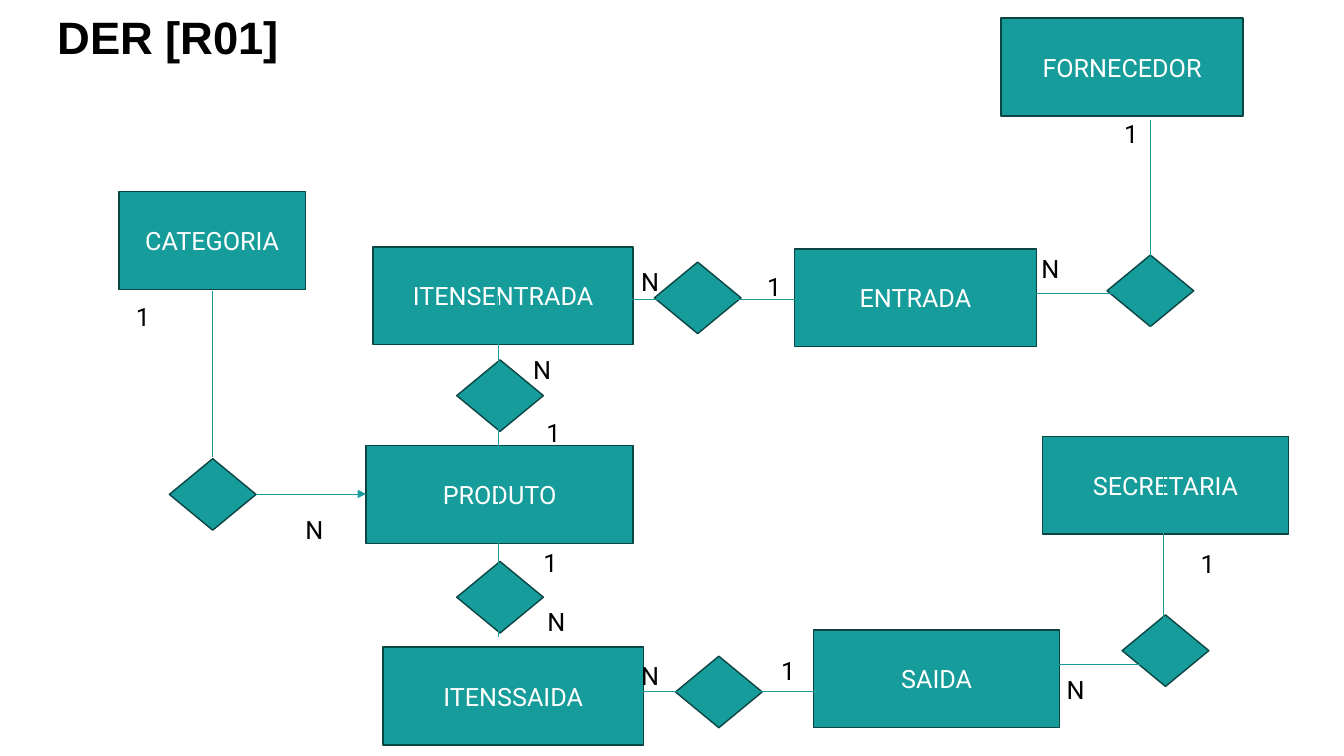
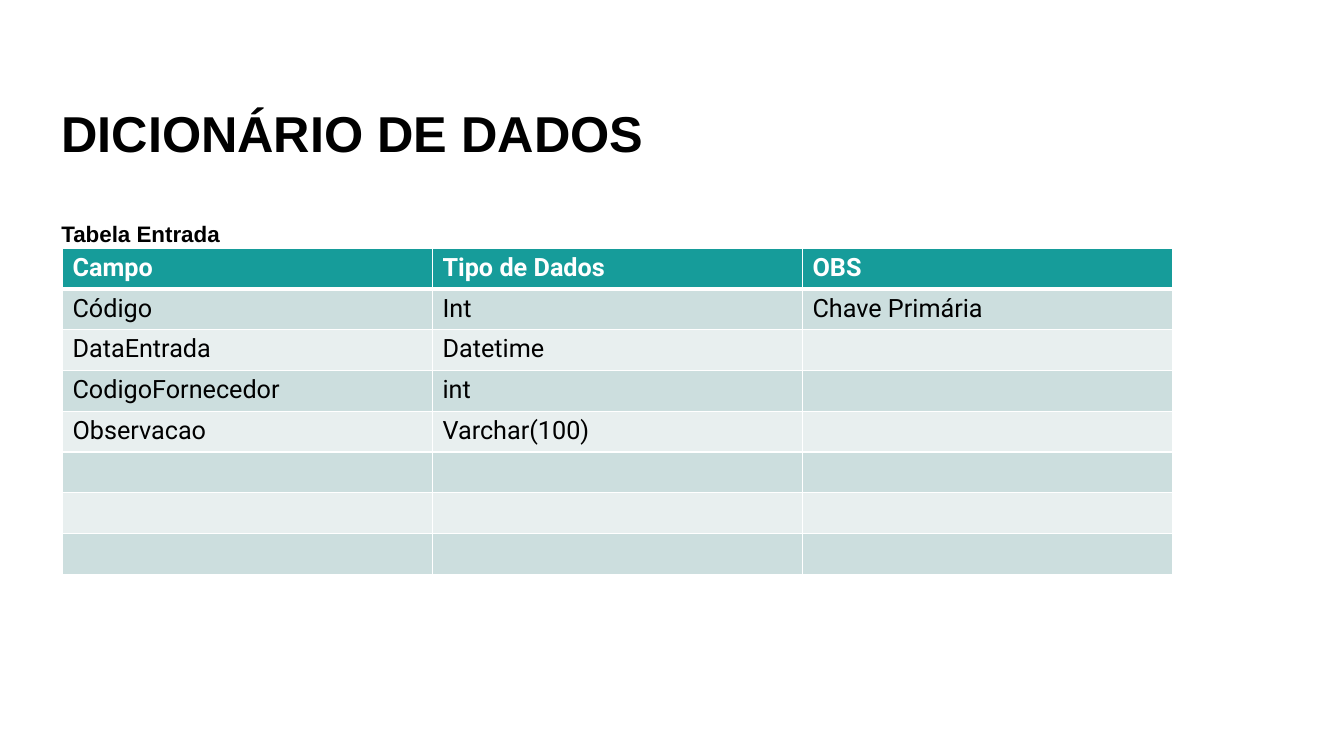
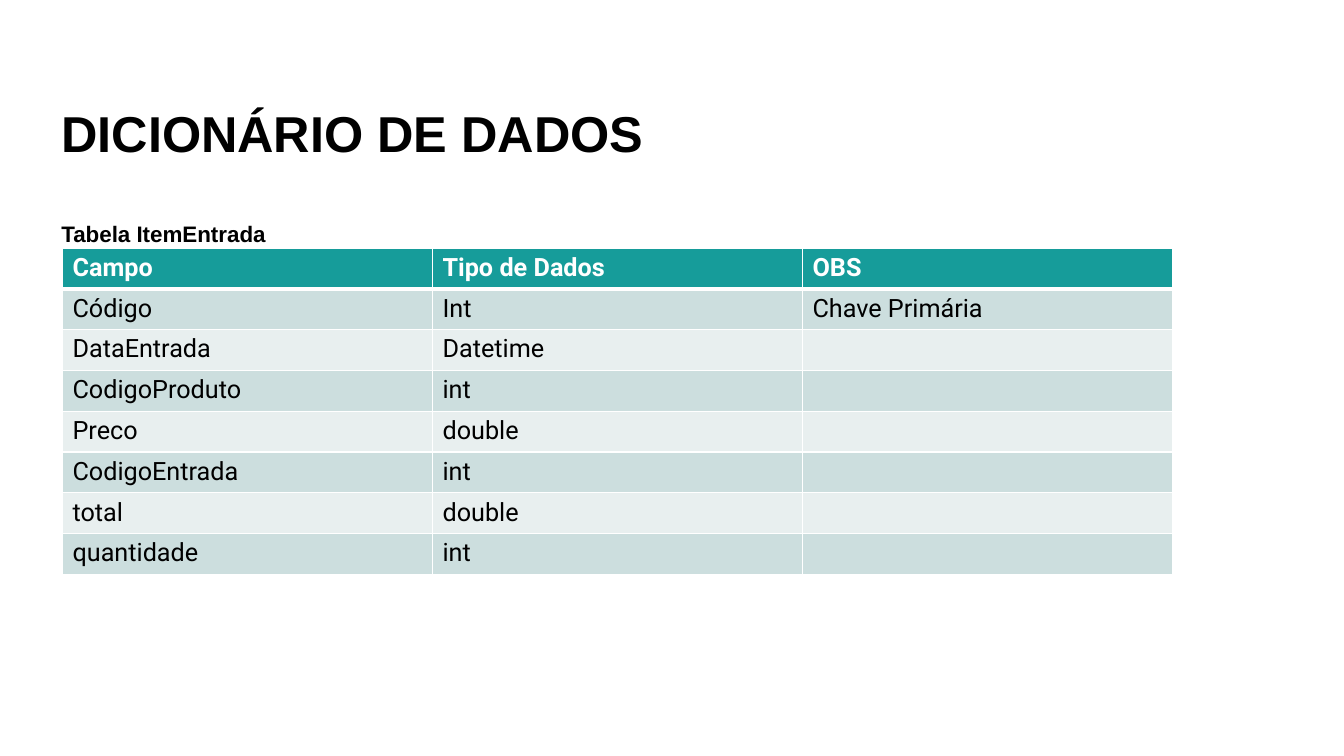
from pptx import Presentation
from pptx import util as u
from pptx.dml.color import RGBColor
from pptx.enum import shapes, text
from pptx.oxml.ns import qn
from lxml import etree

PX = 9144  # 100 px to the inch
WIDE, HIGH = 1333, 750
TEAL, EDGE, WHITE, BLACK = "169C9A", "0A4443", "FFFFFF", "000000"
BANDS = ("CCDEDE", "E8EFEF")
HEAD, BODY = "Arial", "Roboto"

# Entity: name, left, top, width
ENTITIES = [
    ("PRODUTO", 245, 424, 265),
    ("CATEGORIA", 0, 172, 185),
    ("ENTRADA", 670, 229, 240),
    ("SAIDA", 689, 607, 244),
    ("ITENSENTRADA", 252, 227, 258),
    ("FORNECEDOR", 875, 0, 240),
    ("ITENSSAIDA", 262, 624, 258),
    ("SECRETARIA", 916, 415, 244),
]
# Relation diamonds: left, top
RELATIONS = [(50, 437), (335, 539), (552, 633), (995, 592),
             (980, 235), (531, 242), (335, 339)]
# Lines: from x, from y, to x, to y
LINES = [
    (93, 435, 93, 271),
    (508, 279, 683, 279),
    (494, 668, 689, 668),
    (855, 641, 1050, 641),
    (1036, 620, 1036, 455),
    (1023, 306, 1023, 101),
    (848, 273, 1023, 273),
    (376, 614, 376, 276),
]
ARROW = (136, 472, 245, 472)
# Left and top of the labels for each cardinality
COUNTS = {
    "1": [(7, 276), (411, 520), (414, 391), (647, 627),
          (633, 246), (987, 94), (1063, 521)],
    "N": [(175, 487), (415, 579), (401, 329), (508, 632),
          (508, 241), (905, 228), (930, 646)],
}

COLUMNS = ("Campo", "Tipo de Dados", "OBS")
KEY = ("Código", "Int", "Chave Primária")
DATE = ("DataEntrada", "Datetime")
TABLES = [
    ("Tabela Entrada", [
        KEY, DATE, ("CodigoFornecedor", "int"),
        ("Observacao", "Varchar(100)"), (), (), ()]),
    ("Tabela ItemEntrada", [
        KEY, DATE, ("CodigoProduto", "int"), ("Preco", "double"),
        ("CodigoEntrada", "int"), ("total", "double"),
        ("quantidade", "int")]),
]


def px(*vals):
    return [u.Emu(v * PX) for v in vals]


def rgb(code):
    return RGBColor.from_string(code)


def fill(item, code):
    item.fill.solid()
    item.fill.fore_color.rgb = rgb(code)


def write(frame, words, size=18, color=BLACK, face=BODY, bold=False):
    frame.text = words
    para = frame.paragraphs[0]
    for run in para.runs:
        font = run.font
        font.size, font.name, font.bold = u.Pt(size), face, bold
        font.color.rgb = rgb(color)
    return para


def label(slide, words, x, y, w, h, **style):
    frame = slide.shapes.add_textbox(*px(x, y, w, h)).text_frame
    frame.word_wrap = True
    return frame, write(frame, words, **style)


def title(slide, words, box, size):
    frame, para = label(slide, words, *box, size=size, face=HEAD, bold=True)
    frame.vertical_anchor = text.MSO_ANCHOR.BOTTOM
    para.line_spacing = 0.9


def node(slide, kind, x, y, w, h, words=""):
    shape = slide.shapes.add_shape(kind, *px(x, y, w, h))
    shape.shadow.inherit = False
    fill(shape, TEAL)
    shape.line.color.rgb = rgb(EDGE)
    shape.line.width = u.Pt(1)
    if words:
        frame = shape.text_frame
        frame.vertical_anchor = text.MSO_ANCHOR.MIDDLE
        write(frame, words, color=WHITE).alignment = text.PP_ALIGN.CENTER


def link(slide, x, y, ends, arrow=False):
    x1, y1, x2, y2 = ends
    line = slide.shapes.add_connector(
        shapes.MSO_CONNECTOR.STRAIGHT, *px(x + x1, y + y1, x + x2, y + y2))
    line.line.color.rgb = rgb(TEAL)
    line.line.width = u.Pt(0.5)
    if arrow:
        etree.SubElement(line.line._get_or_add_ln(), qn("a:tailEnd"),
                         type="triangle")
    etree.SubElement(line._element.spPr, qn("a:effectLst"))


def diagram(slide, x, y):
    # Entities and relations
    for name, left, top, wide in ENTITIES:
        node(slide, shapes.MSO_SHAPE.RECTANGLE, x + left, y + top,
             wide, 97, name)
    for left, top in RELATIONS:
        node(slide, shapes.MSO_SHAPE.DIAMOND, x + left, y + top, 86, 71)
    # Lines
    link(slide, x, y, ARROW, arrow=True)
    for ends in LINES:
        link(slide, x, y, ends)
    # Cardinalities, kept inside the slide
    for count, spots in COUNTS.items():
        for left, top in spots:
            label(slide, count, x + left, y + top,
                  min(211, WIDE - x - left), 40)


def border(cell, **sides):
    props = cell._tc.get_or_add_tcPr()
    for spot, (side, width) in enumerate(sides.items()):
        line = etree.Element(qn("a:ln" + side), w=str(u.Pt(width)))
        paint = etree.SubElement(line, qn("a:solidFill"))
        etree.SubElement(paint, qn("a:srgbClr"), val=WHITE)
        props.insert(spot, line)


def grid(slide, rows, x, y, w, h):
    rows = [COLUMNS] + rows
    table = slide.shapes.add_table(
        len(rows), len(COLUMNS), *px(x, y, w, h)).table
    for r, row in enumerate(rows):
        for c in range(len(COLUMNS)):
            cell = table.cell(r, c)
            fill(cell, BANDS[(r - 1) % 2] if r else TEAL)
            border(cell, L=1, R=1, T=3 if r == 1 else 1, B=1 if r else 3)
            if c < len(row):
                write(cell.text_frame, row[c], bold=r == 0,
                      color=BLACK if r else WHITE)


def entry(slide, name, rows, x, y):
    title(slide, "DICIONÁRIO DE DADOS", (x, y, 1150, 167), 36)
    grid(slide, rows, x + 11, y + 246, 1101, 324)
    title(slide, name, (x, y + 83, 1150, 167), 16)


def main():
    deck = Presentation()
    deck.slide_width, deck.slide_height = px(WIDE, HIGH)
    blank = deck.slide_layouts[6]

    # Entity diagram
    slide = deck.slides.add_slide(blank)
    title(slide, "DER [R01]", (47, 18, 1150, 51), 32.4)
    diagram(slide, 118, 18)

    # Data dictionary
    for name, rows in TABLES:
        entry(deck.slides.add_slide(blank), name, rows, 51, 0)

    deck.save("out.pptx")


if __name__ == "__main__":
    main()
